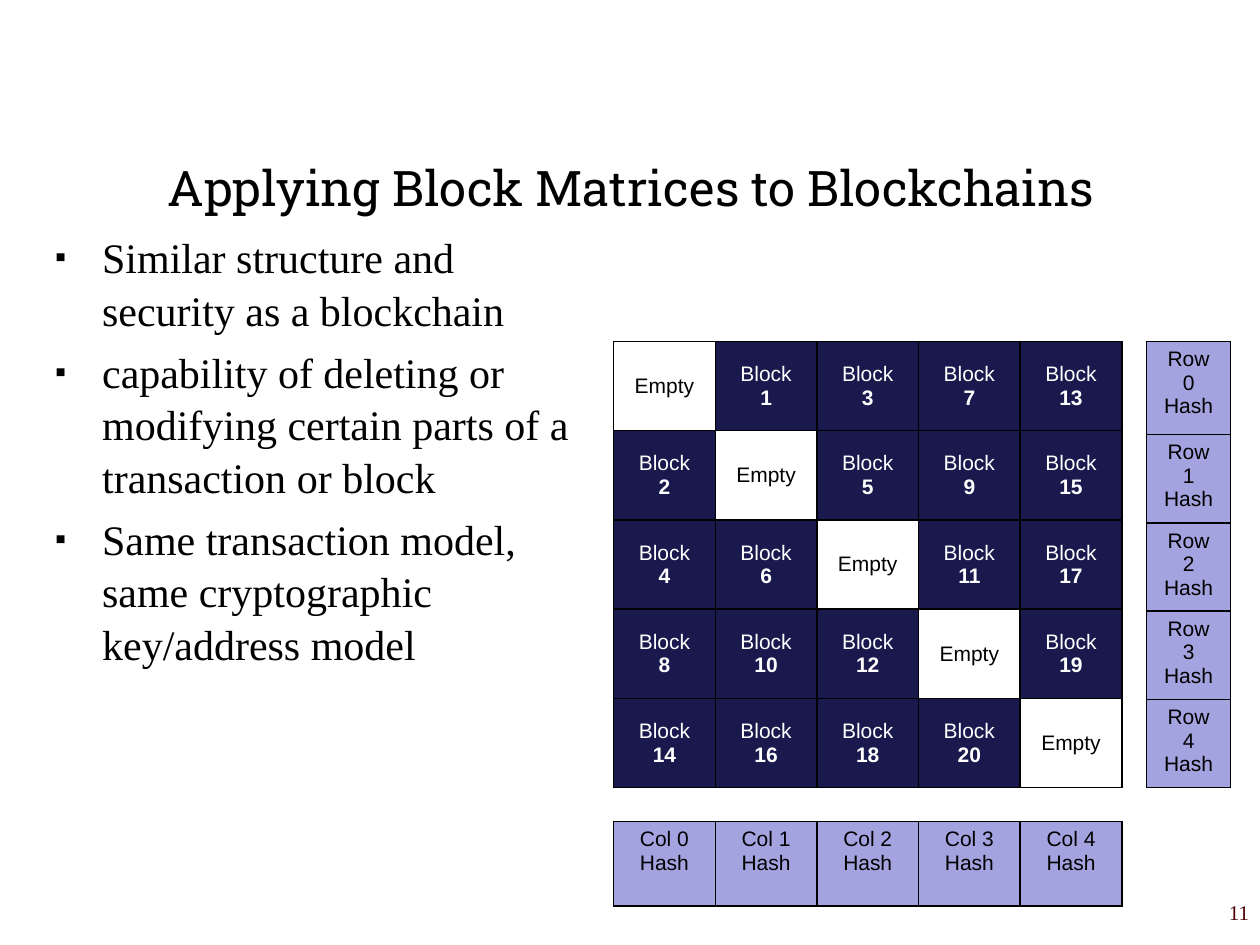
from pptx import Presentation
from pptx.dml.color import RGBColor
from pptx.enum.text import MSO_ANCHOR, PP_ALIGN
from pptx.oxml import parse_xml
from pptx.oxml.ns import nsdecls
from pptx.util import Cm, Pt

BLACK = RGBColor(0, 0, 0)
WHITE = RGBColor(255, 255, 255)
NAVY = RGBColor(0x19, 0x19, 0x4D)
LILAC = RGBColor(0xA3, 0xA3, 0xE0)
MAROON = RGBColor(0x50, 0, 0)
SERIF = "Times New Roman"
SIZE = 5


def style(para, name, size, color, align):
    para.font.name = name
    para.font.size = Pt(size)
    para.font.color.rgb = color
    para.alignment = align


def add_text(slide, box, lines, name, size, color, align, anchor):
    frame = slide.shapes.add_textbox(*map(Cm, box)).text_frame
    frame.word_wrap = True
    frame.vertical_anchor = anchor
    frame.text = "\n".join(lines)
    for para in frame.paragraphs:
        style(para, name, size, color, align)
    return frame


def add_list(slide, box, lines):
    frame = add_text(slide, box, lines, SERIF, 24, BLACK, PP_ALIGN.LEFT, MSO_ANCHOR.TOP)
    for para in frame.paragraphs:
        para.space_before = Pt(4.8)
        para.line_spacing = 1.05
        props = para._p.get_or_add_pPr()
        props.set("marL", str(Cm(0.95)))
        props.set("indent", str(-Cm(0.95)))
        marks = (
            f'<a:buSzPct {nsdecls("a")} val="75000"/>',
            f'<a:buFont {nsdecls("a")} typeface="Arial"/>',
            f'<a:buChar {nsdecls("a")} char="▪"/>',
        )
        where = list(props).index(props.find("{*}defRPr"))
        for step, mark in enumerate(marks):
            props.insert(where + step, parse_xml(mark))


def add_edges(cell):
    props = cell._tc.get_or_add_tcPr()
    for side in "LRTB":
        props.append(parse_xml(
            f'<a:ln{side} {nsdecls("a")} w="12700"><a:solidFill>'
            f'<a:srgbClr val="{BLACK}"/></a:solidFill></a:ln{side}>'
        ))


def fill_cell(cell, text, fill, color):
    add_edges(cell)
    cell.fill.solid()
    cell.fill.fore_color.rgb = fill
    cell.text = text
    for para in cell.text_frame.paragraphs:
        style(para, "Arial", 12, color, PP_ALIGN.CENTER)


def add_grid(slide, left, top, cols, rows):
    frame = slide.shapes.add_table(
        len(rows), len(cols), Cm(left), Cm(top), Cm(sum(cols)), Cm(sum(rows)))
    table = frame.table
    table.first_row = False
    table.horz_banding = False
    for col, width in zip(table.columns, cols):
        col.width = Cm(width)
    for row, height in zip(table.rows, rows):
        row.height = Cm(height)
    return table


def block_num(row, col):
    low, high = sorted((row, col))
    return high * (high - 1) + 2 * low + 1 + (row > col)


def add_matrix(slide, left, top):
    table = add_grid(slide, left, top, [2.05] * SIZE, [1.8] * SIZE)
    for row in range(SIZE):
        for col in range(SIZE):
            cell = table.cell(row, col)
            cell.vertical_anchor = MSO_ANCHOR.MIDDLE
            cell.margin_left = cell.margin_right = Cm(0.38)
            cell.margin_top = cell.margin_bottom = Cm(0.18)
            if row == col:
                fill_cell(cell, "Empty", WHITE, BLACK)
            else:
                fill_cell(cell, "Block ", NAVY, WHITE)
                run = cell.text_frame.paragraphs[0].add_run()
                run.text = str(block_num(row, col))
                run.font.bold = True


def add_hashes(slide, left, top, cols, rows, labels):
    table = add_grid(slide, left, top, cols, rows)
    for cell, label in zip(table.iter_cells(), labels):
        fill_cell(cell, label, LILAC, BLACK)


def build():
    deck = Presentation()
    deck.slide_width = Cm(25.4)
    deck.slide_height = Cm(19.05)
    slide = deck.slides.add_slide(deck.slide_layouts[6])
    add_text(slide, (1.9, 1.98, 21.64, 2.51),
             ["Applying Block Matrices to Blockchains"],
             "Roboto Slab", 28, BLACK, PP_ALIGN.CENTER, MSO_ANCHOR.BOTTOM)
    add_list(slide, (0.86, 4.5, 11.2, 13.54), [
        "Similar structure and security as a blockchain",
        "capability of deleting or modifying certain parts of a transaction or block ",
        "Same transaction model, same cryptographic key/address model",
    ])
    add_text(slide, (20.02, 17.98, 5.41, 0.79), ["11"],
             SERIF, 12, MAROON, PP_ALIGN.RIGHT, MSO_ANCHOR.BOTTOM)
    add_matrix(slide, 12.37, 6.88)
    breaks = [" ", "\n", " ", " ", " "]
    add_hashes(slide, 23.11, 6.88, [1.7], [1.88] + [1.73] * 4,
               [f"Row {num}{gap}Hash" for num, gap in enumerate(breaks)])
    add_hashes(slide, 12.37, 16.56, [2.05] * SIZE, [1.7],
               [f"Col {num} Hash" for num in range(SIZE)])
    deck.save("out.pptx")


build()
